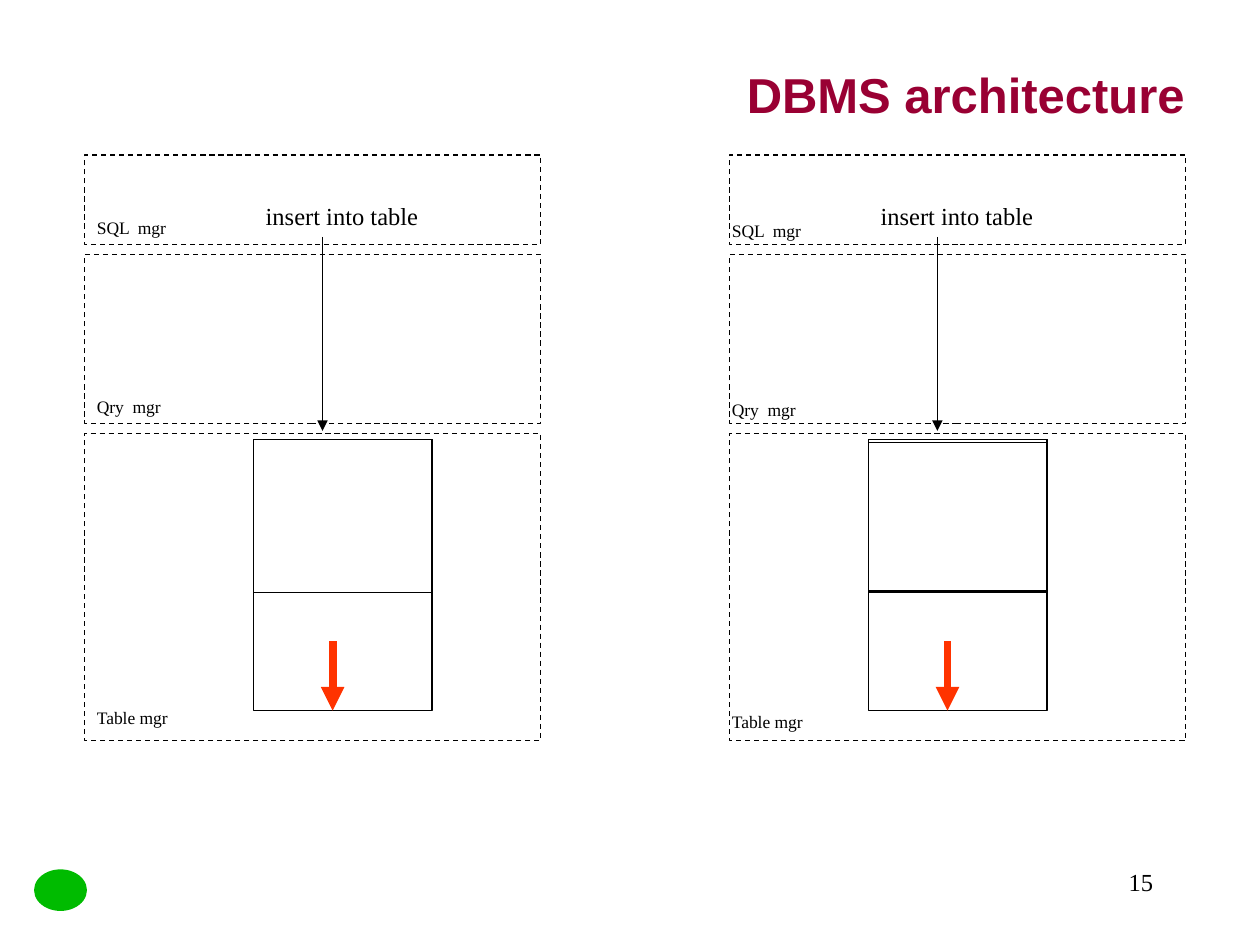
from pptx import Presentation
from pptx.dml.color import RGBColor
from pptx.enum.dml import MSO_LINE
from pptx.enum.shapes import MSO_CONNECTOR, MSO_SHAPE
from pptx.enum.text import MSO_ANCHOR, MSO_AUTO_SIZE, PP_ALIGN
from pptx.oxml.ns import qn
from pptx.util import Inches, Pt
from lxml.etree import SubElement

BLACK = "000000"
LAYERS = [("Table mgr", 2.21, 2.44, 4.33), ("Qry  mgr", 0.79, 1.34, 1.86), ("SQL  mgr", 0, 0.71, 0.44)]


def color(value):
    """Turn a hex string into a colour."""
    return RGBColor.from_string(value)


def add_outline(slide, left, top, width, height, dashed=False):
    """Add an unfilled rectangle with a thin black line."""
    shape = slide.shapes.add_shape(MSO_SHAPE.RECTANGLE, Inches(left), Inches(top), Inches(width), Inches(height))
    shape.shadow.inherit = False
    shape.fill.background()
    shape.line.color.rgb = color(BLACK)
    shape.line.width = Pt(0.75)
    if dashed:
        shape.line.dash_style = MSO_LINE.DASH


def add_text(slide, box, text, size, font="Times New Roman", value=BLACK, bold=False,
             align=PP_ALIGN.LEFT, anchor=MSO_ANCHOR.TOP, wrap=True):
    """Add a one-paragraph text box."""
    frame = slide.shapes.add_textbox(*map(Inches, box)).text_frame
    frame.word_wrap = wrap
    frame.auto_size = MSO_AUTO_SIZE.NONE if wrap else MSO_AUTO_SIZE.SHAPE_TO_FIT_TEXT
    frame.vertical_anchor = anchor
    paragraph = frame.paragraphs[0]
    paragraph.text = text
    paragraph.alignment = align
    paragraph.font.name = font
    paragraph.font.size = Pt(size)
    paragraph.font.bold = bold
    paragraph.font.color.rgb = color(value)


def add_down_arrow(slide, x, top, bottom, value, width):
    """Add a vertical line with an arrowhead at its lower end."""
    arrow = slide.shapes.add_connector(MSO_CONNECTOR.STRAIGHT, Inches(x), Inches(top), Inches(x), Inches(bottom))
    arrow.line.color.rgb = color(value)
    arrow.line.width = Pt(width)
    SubElement(arrow.line._get_or_add_ln(), qn("a:tailEnd"), type="triangle")
    SubElement(arrow._element.spPr, qn("a:effectLst"))


def add_layers(slide, left, top, width, label_shift_x=0, label_shift_y=0):
    """Add the dashed manager layers with a label near the bottom left of each."""
    for _, offset, height, _ in LAYERS:
        add_outline(slide, left, top + offset, width, height, dashed=True)
    for name, _, _, label_offset in LAYERS:
        box = (left + label_shift_x, top + label_offset + label_shift_y, 0.85, 0.27)
        add_text(slide, box, name, 10)


def add_insert_flow(slide, left, top):
    """Add the insert statement, its arrow and the growing table."""
    add_outline(slide, left, top + 1.94, 1.42, 2.15)
    add_outline(slide, left, top + 1.94, 1.42, 1.21)
    add_down_arrow(slide, left + 0.63, top + 3.54, top + 4.09, "FF3300", 4.5)
    add_down_arrow(slide, left + 0.55, top + 0.33, top + 1.87, BLACK, 0.75)
    add_text(slide, (left, top, 1.41, 0.34), "insert into table", 14, wrap=False)


def add_emblem(slide, left, top, width, height):
    """Add a plain green oval in the footer."""
    shape = slide.shapes.add_shape(MSO_SHAPE.OVAL, Inches(left), Inches(top), Inches(width), Inches(height))
    shape.shadow.inherit = False
    shape.fill.solid()
    shape.fill.fore_color.rgb = color("00BB00")
    shape.line.fill.background()


def main():
    """Build the slide and save it."""
    presentation = Presentation()
    presentation.slide_width, presentation.slide_height = Inches(10), Inches(7.5)
    slide = presentation.slides.add_slide(presentation.slide_layouts[6])
    add_emblem(slide, 0.27, 6.9, 0.42, 0.33)
    add_text(slide, (1.17, 0.33, 8.33, 0.83), "DBMS architecture", 28, font="Arial", value="990033",
             bold=True, align=PP_ALIGN.RIGHT, anchor=MSO_ANCHOR.MIDDLE)
    add_layers(slide, 0.67, 1.23, 3.62)
    add_layers(slide, 5.79, 1.23, 3.62, label_shift_x=-0.08, label_shift_y=0.03)
    for left in (2.01, 6.89):
        add_insert_flow(slide, left, 1.55)
    add_outline(slide, 6.89, 3.51, 1.42, 1.18)
    add_text(slide, (7.17, 6.83, 2.08, 0.5), "15", 14, align=PP_ALIGN.RIGHT)
    presentation.save("out.pptx")


if __name__ == "__main__":
    main()
